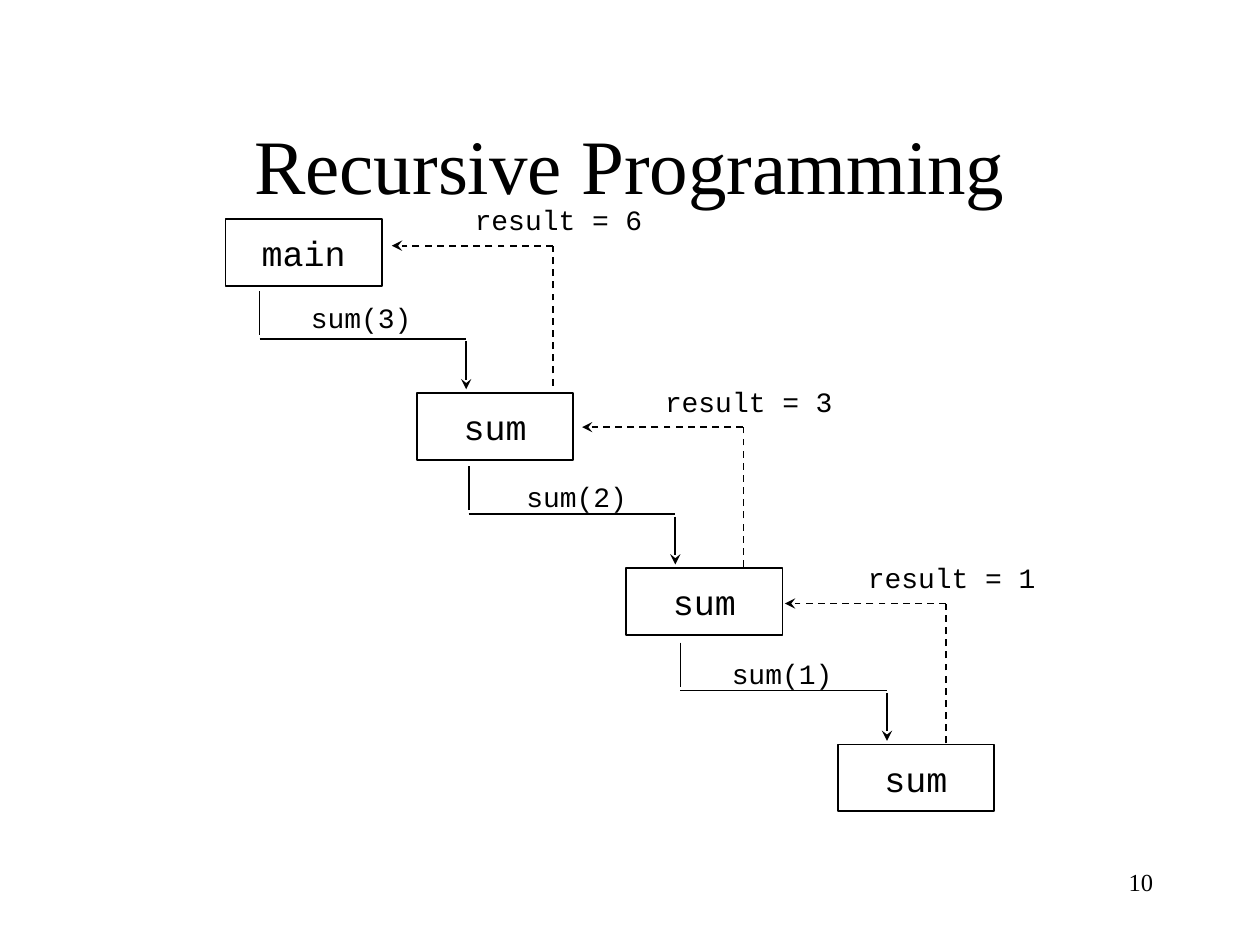
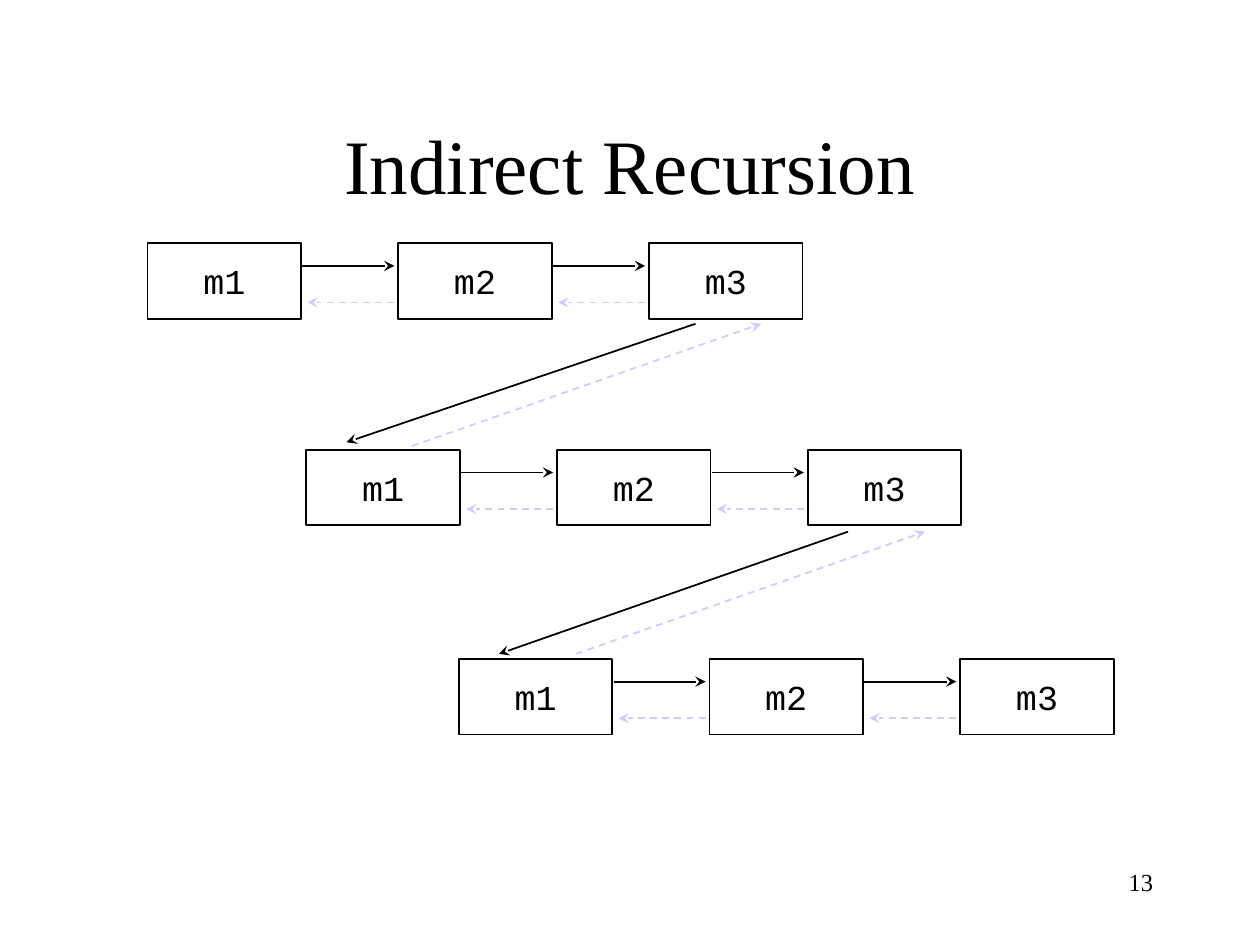
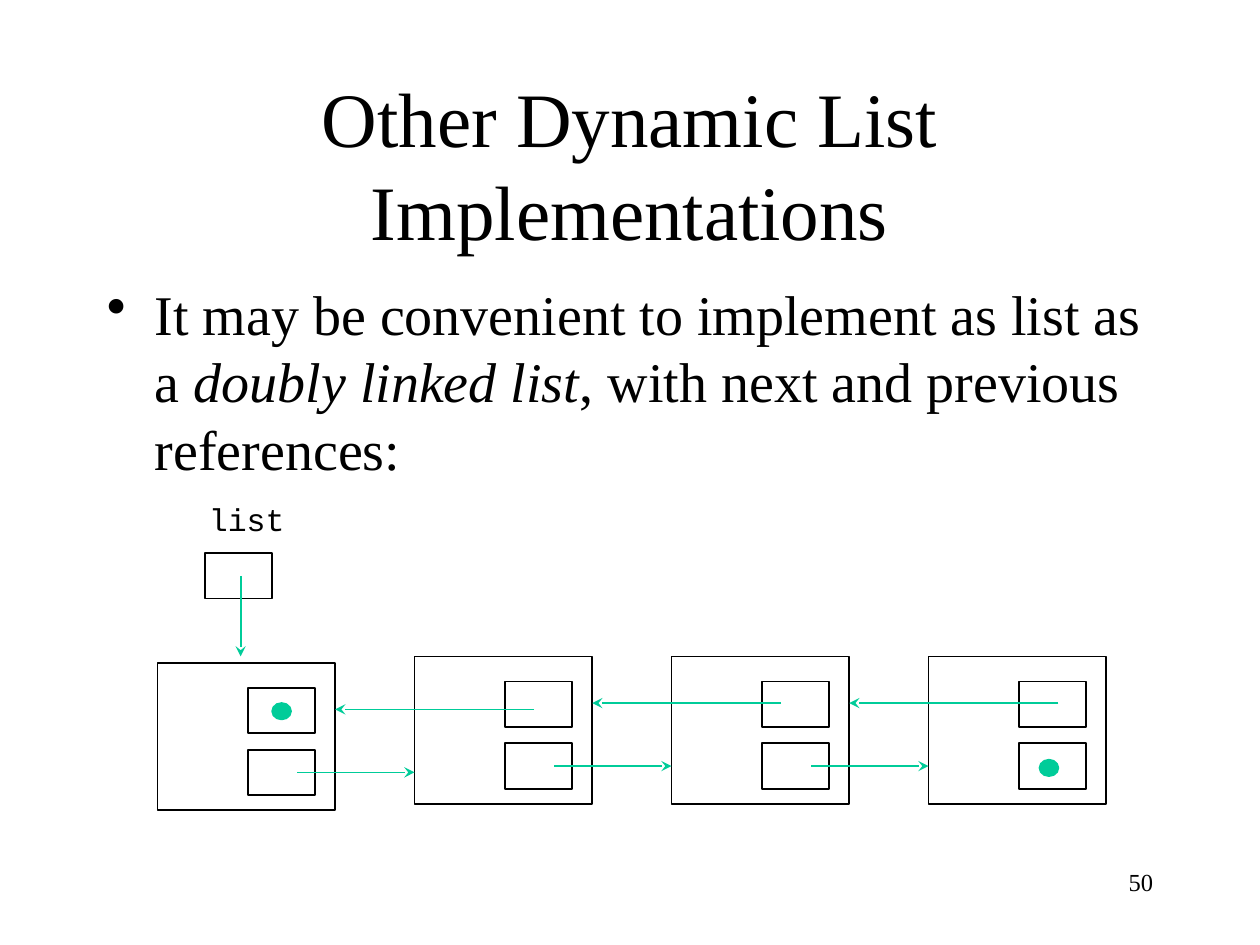
"""Builds three slides on recursion and dynamic lists."""
from dataclasses import dataclass
from typing import NamedTuple

from lxml import etree
from pptx import Presentation
from pptx import slide as sl
from pptx import util as u
from pptx.dml import color
from pptx.enum import dml, shapes, text
from pptx.oxml import ns

BLACK, LAVENDER, GREEN = "000000", "CCCCFF", "00CC99"
SERIF, MONO = "Times New Roman", "Courier New"


class Point(NamedTuple):
    """A place on the slide in inches."""
    x: float
    y: float

    def shift(self, dx: float, dy: float) -> "Point":
        """Return the point moved by dx and dy."""
        return Point(self.x + dx, self.y + dy)


class Size(NamedTuple):
    """A width and height in inches."""
    w: float
    h: float


@dataclass(frozen=True)
class Font:
    """A typeface with its size in points."""
    name: str
    size: int


@dataclass(frozen=True)
class Stroke:
    """The look of a line."""
    color: str = BLACK
    dashed: bool = False
    arrow: bool = True


@dataclass(frozen=True)
class Call:
    """A call from one method box to the next, with its result."""
    name: str
    start: Point
    label: Point
    result: str
    corner: Point


TITLE, BODY, NUMBER = Font(SERIF, 44), Font(SERIF, 32), Font(SERIF, 14)
METHOD, LABEL, VARIABLE = Font(MONO, 20), Font(MONO, 16), Font(MONO, 18)

CALL, PLAIN = Stroke(), Stroke(arrow=False)
RESULT, RESULT_PLAIN = Stroke(dashed=True), Stroke(dashed=True, arrow=False)
RETURN, LINK = Stroke(LAVENDER, dashed=True), Stroke(GREEN)

SUM_BOX, CHAIN_BOX = Size(1.24, 0.53), Size(1.22, 0.6)
NODE, CELL, DOT = Size(1.41, 1.17), Size(0.53, 0.36), Size(0.15, 0.13)
CALL_LABEL, RESULT_LABEL, LIST_LABEL = Size(1, 0.37), Size(1.53, 0.37), Size(0.8, 0.4)

METHODS = [("main", Point(1.79, 1.74)), ("sum", Point(3.31, 3.12)),
           ("sum", Point(4.97, 4.51)), ("sum", Point(6.65, 5.91))]
CALLS = [
    Call("sum(3)", Point(2.06, 2.31), Point(2.37, 2.34), "result = 6", Point(4.39, 1.95)),
    Call("sum(2)", Point(3.72, 3.7), Point(4.08, 3.76), "result = 3", Point(5.9, 3.39)),
    Call("sum(1)", Point(5.4, 5.1), Point(5.71, 5.16), "result = 1", Point(7.51, 4.79)),
]
CHAIN_STARTS = [Point(1.17, 1.93), Point(2.43, 3.57), Point(3.64, 5.23)]
CHAIN_PITCH = 1.99
CHAIN_LINKS = [
    (Point(5.52, 2.57), Point(2.75, 3.51), CALL),
    (Point(6.73, 4.22), Point(3.96, 5.19), CALL),
    (Point(3.27, 3.54), Point(6.04, 2.57), RETURN),
    (Point(4.57, 5.19), Point(7.34, 4.22), RETURN),
]
NODES = [Point(1.25, 5.26)] + [Point(1.25 + 2.04 * i, 5.21) for i in range(1, 4)]
PREVIOUS_STARTS = [4.24, 6.2, 8.4]


def rgb(value: str) -> color.RGBColor:
    """Turn a hex string into a colour."""
    return color.RGBColor.from_string(value)


def box_of(at: Point, size: Size) -> list[u.Length]:
    """Return left, top, width and height as lengths."""
    return [u.Inches(v) for v in (*at, *size)]


def style(p, font: Font, align=text.PP_ALIGN.LEFT) -> None:
    """Align a paragraph and format its runs."""
    p.alignment = align
    for r in p.runs:
        r.font.name, r.font.size = font.name, u.Pt(font.size)
        r.font.color.rgb = rgb(BLACK)


def add_text(s: sl.Slide, words: str, at: Point, size: Size, font: Font,
             align=text.PP_ALIGN.LEFT, anchor=text.MSO_ANCHOR.TOP):
    """Add a wrapping text box and return its frame."""
    tf = s.shapes.add_textbox(*box_of(at, size)).text_frame
    tf.word_wrap, tf.vertical_anchor = True, anchor
    tf.text = words
    style(tf.paragraphs[0], font, align)
    return tf


def add_label(s: sl.Slide, words: str, at: Point, size: Size, font: Font = LABEL) -> None:
    """Add a one-line label that fits its text."""
    tf = add_text(s, words, at, size, font)
    tf.word_wrap, tf.auto_size = False, text.MSO_AUTO_SIZE.SHAPE_TO_FIT_TEXT


def add_box(s: sl.Slide, at: Point, size: Size, words: str = "") -> None:
    """Add an outlined rectangle, with a method name if given."""
    sp = s.shapes.add_shape(shapes.MSO_SHAPE.RECTANGLE, *box_of(at, size))
    sp.shadow.inherit = False
    sp.fill.background()
    sp.line.color.rgb, sp.line.width = rgb(BLACK), u.Pt(1)
    if words:
        tf = sp.text_frame
        tf.word_wrap, tf.vertical_anchor = False, text.MSO_ANCHOR.MIDDLE
        tf.text = words
        style(tf.paragraphs[0], METHOD, text.PP_ALIGN.CENTER)


def add_dot(s: sl.Slide, at: Point) -> None:
    """Add the dot that marks an empty reference."""
    sp = s.shapes.add_shape(shapes.MSO_SHAPE.OVAL, *box_of(at, DOT))
    sp.shadow.inherit = False
    sp.fill.solid()
    sp.fill.fore_color.rgb = sp.line.color.rgb = rgb(GREEN)
    sp.line.width = u.Pt(1)


def add_line(s: sl.Slide, start: Point, end: Point, stroke: Stroke) -> None:
    """Add a straight line, with an arrowhead if the stroke has one."""
    ends = [u.Inches(v) for v in (*start, *end)]
    line = s.shapes.add_connector(shapes.MSO_CONNECTOR.STRAIGHT, *ends)
    line.line.color.rgb, line.line.width = rgb(stroke.color), u.Pt(1)
    if stroke.dashed:
        line.line.dash_style = dml.MSO_LINE.DASH
    spPr = line._element.spPr
    if stroke.arrow:
        etree.SubElement(spPr.find(ns.qn("a:ln")), ns.qn("a:tailEnd"), type="stealth")
    etree.SubElement(spPr, ns.qn("a:effectLst"))


def new_slide(prs, title: str, number: int) -> sl.Slide:
    """Add a blank slide with its title and page number."""
    s = prs.slides.add_slide(prs.slide_layouts[6])
    add_text(s, title, Point(0.75, 0.67), Size(8.5, 1.25), TITLE,
             text.PP_ALIGN.CENTER, text.MSO_ANCHOR.MIDDLE)
    add_text(s, str(number), Point(7.17, 6.83), Size(2.08, 0.5), NUMBER,
             text.PP_ALIGN.RIGHT)
    return s


def add_call(s: sl.Slide, call: Call) -> None:
    """Draw the stepped call line and the dashed line of its result."""
    start, corner = call.start, call.corner
    add_line(s, start, start.shift(0, 0.35), PLAIN)
    add_line(s, start.shift(0, 0.38), start.shift(1.64, 0.38), PLAIN)
    add_line(s, start.shift(1.64, 0.4), start.shift(1.64, 0.78), CALL)
    add_label(s, call.name, call.label, CALL_LABEL)
    add_line(s, corner.shift(0, 1.11), corner, RESULT_PLAIN)
    add_line(s, corner, corner.shift(-1.28, 0), RESULT)
    add_label(s, call.result, corner.shift(-0.72, -0.39), RESULT_LABEL)


def add_chain(s: sl.Slide, start: Point) -> None:
    """Draw a row of three methods with calls and returns."""
    for i in range(3):
        at = start.shift(i * CHAIN_PITCH, 0)
        add_box(s, at, CHAIN_BOX, f"m{i + 1}")
        if i < 2:
            add_line(s, at.shift(1.23, 0.18), at.shift(1.96, 0.18), CALL)
            add_line(s, at.shift(1.96, 0.47), at.shift(1.27, 0.47), RETURN)


def add_node(s: sl.Slide, at: Point) -> None:
    """Draw a list node with its previous and next cells."""
    add_box(s, at, NODE)
    for dy in (0.2, 0.69):
        add_box(s, at.shift(0.72, dy), CELL)


def add_bullet(s: sl.Slide, parts: list[tuple[str, bool]]) -> None:
    """Add the body bullet from pieces of text, each italic or not."""
    tf = add_text(s, "", Point(0.75, 2.17), Size(8.5, 4.5), BODY)
    p = tf.paragraphs[0]
    pPr = p._p.get_or_add_pPr()
    pPr.set("marL", str(u.Inches(0.38)))
    pPr.set("indent", str(u.Inches(-0.38)))
    etree.SubElement(pPr, ns.qn("a:buChar"), char="•")
    for words, italic in parts:
        r = p.add_run()
        r.text, r.font.italic = words, italic
    style(p, BODY)


def recursive_programming(prs) -> None:
    """Build the slide that traces the calls of sum."""
    s = new_slide(prs, "Recursive Programming", 10)
    for name, at in METHODS:
        add_box(s, at, SUM_BOX, name)
    for call in CALLS:
        add_call(s, call)


def indirect_recursion(prs) -> None:
    """Build the slide with three chains of methods."""
    s = new_slide(prs, "Indirect Recursion", 13)
    for start in CHAIN_STARTS:
        add_chain(s, start)
    for start, end, stroke in CHAIN_LINKS:
        add_line(s, start, end, stroke)


def list_implementations(prs) -> None:
    """Build the slide with the doubly linked list."""
    s = new_slide(prs, "Other Dynamic List Implementations", 50)
    add_bullet(s, [("It may be convenient to implement as list as a ", False),
                   ("doubly linked list", True),
                   (", with next and previous references:", False)])
    add_label(s, "list", Point(1.56, 3.92), LIST_LABEL, VARIABLE)
    add_box(s, Point(1.63, 4.39), CELL)
    add_line(s, Point(1.91, 4.57), Point(1.91, 5.21), LINK)
    for at in NODES:
        add_node(s, at)
    for at, previous_x in zip(NODES, PREVIOUS_STARTS):
        add_line(s, at.shift(1.11, 0.87), at.shift(2.04, 0.87), LINK)
        back = at.shift(NODE.w, 0.37)
        add_line(s, Point(previous_x, back.y), back, LINK)
    for at in (Point(2.16, 5.58), Point(8.25, 6.03)):
        add_dot(s, at)


def main() -> None:
    """Build and save the presentation."""
    prs = Presentation()
    prs.slide_width, prs.slide_height = u.Inches(10), u.Inches(7.5)
    recursive_programming(prs)
    indirect_recursion(prs)
    list_implementations(prs)
    prs.save("out.pptx")


if __name__ == "__main__":
    main()
